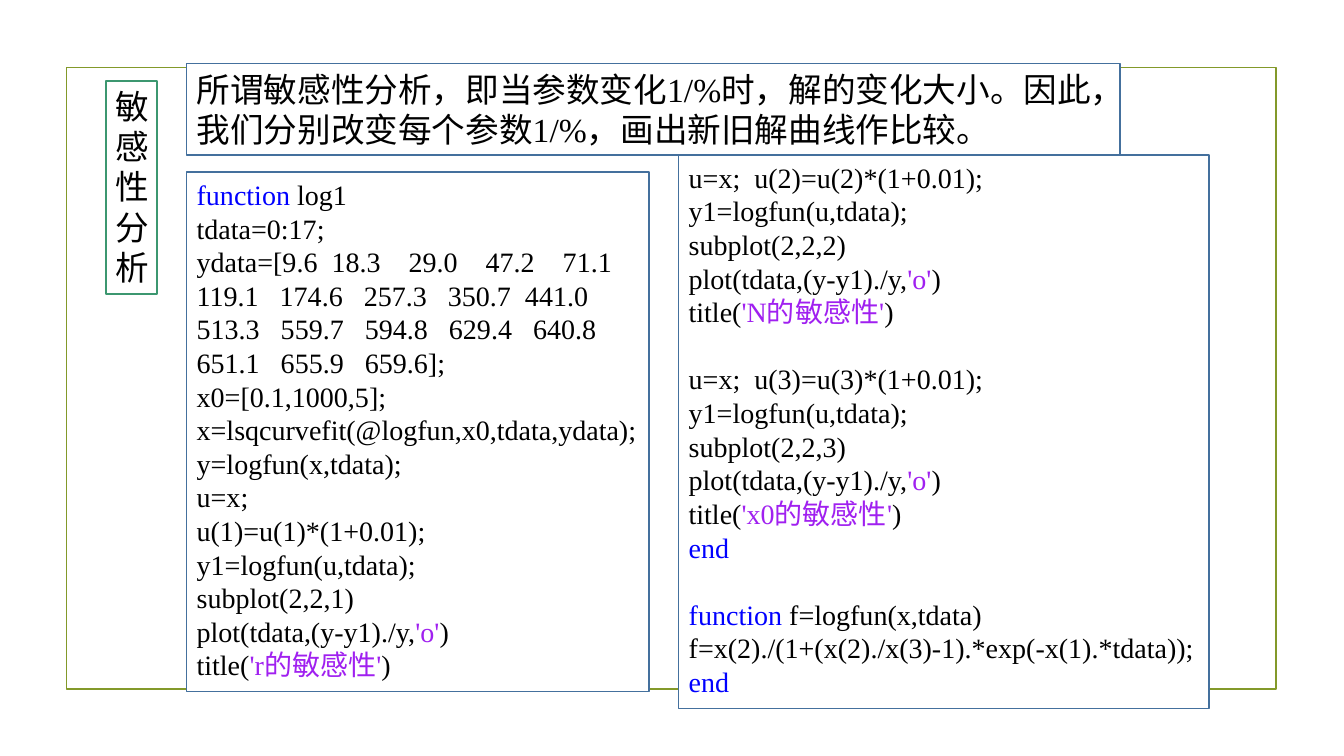
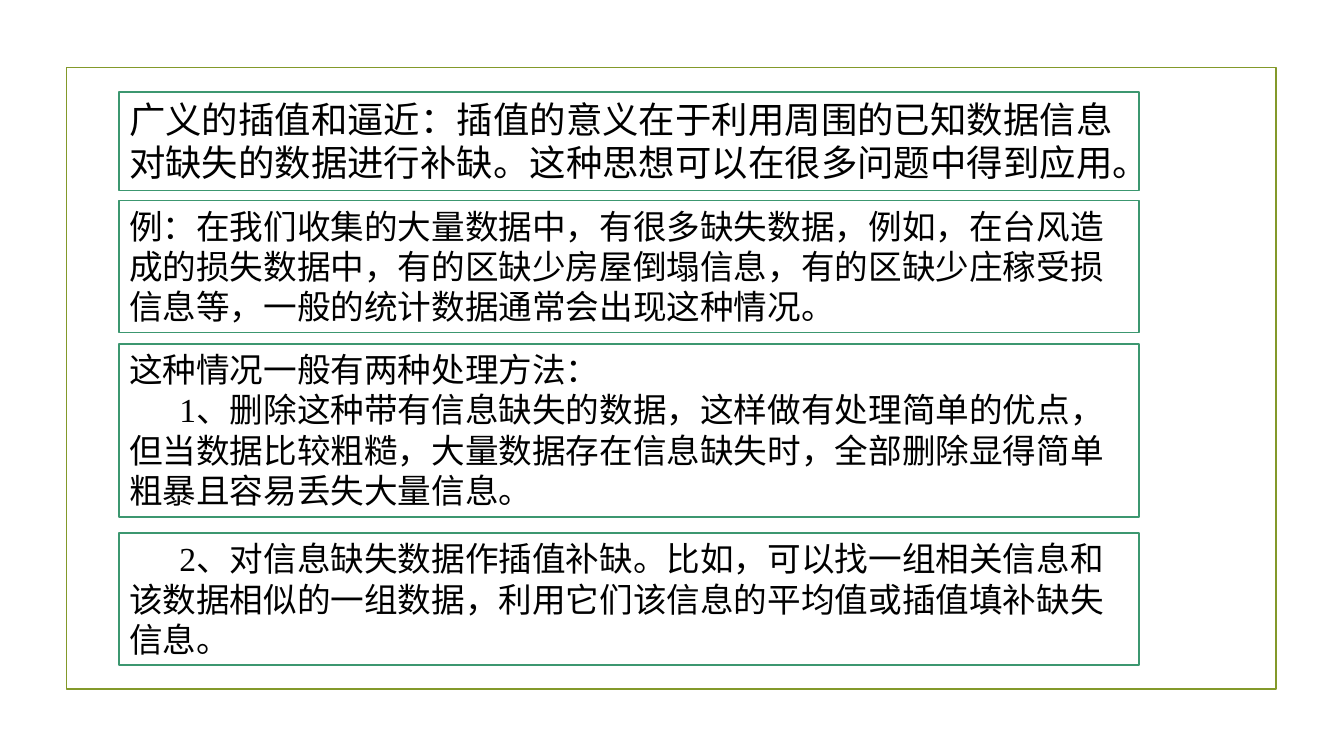
import pptx
import pptx.util
import pptx.dml.color
import pptx.enum.shapes
import pptx.enum.text
from lxml import etree

# Shared look: colours, sizes and text formats
THEME = {
    "ink": "000000", "key": "0000FF", "str": "A020F0", "paper": "FFFFFF",
    "frame": "83992A", "green": "3C9770", "blue": "44709D",
    "font": "Times New Roman", "lead": 26, "text": 24, "code": 20,
    "line": 1.25, "indent": 0.5,
}
FRAME = {
    "auto_size": pptx.enum.text.MSO_AUTO_SIZE.NONE,
    "word_wrap": True,
    "vertical_anchor": pptx.enum.text.MSO_ANCHOR.TOP,
}
PARA = {
    "alignment": pptx.enum.text.PP_ALIGN.LEFT,
    "line_spacing": 1.0,
    "space_after": pptx.util.Pt(0),
}
FONT = {"name": THEME["font"], "bold": False}
KEYS = ("function", "end")
WIDE, HIGH = pptx.util.Inches(13.33), pptx.util.Inches(7.5)

# Slide text
TITLE = "敏感性分析"
INTRO = "所谓敏感性分析，即当参数变化1/%时，解的变化大小。因此，我们分别改变每个参数1/%，画出新旧解曲线作比较。"
LEFT = """function log1
tdata=0:17;
ydata=[9.6  18.3    29.0    47.2    71.1    119.1   174.6   257.3   350.7  441.0    513.3   559.7   594.8   629.4   640.8   651.1   655.9   659.6];
x0=[0.1,1000,5];
x=lsqcurvefit(@logfun,x0,tdata,ydata);
y=logfun(x,tdata);
u=x;
u(1)=u(1)*(1+0.01);
y1=logfun(u,tdata);
subplot(2,2,1)
plot(tdata,(y-y1)./y,'o')
title('r的敏感性')"""
RIGHT = """u=x;  u(2)=u(2)*(1+0.01);
y1=logfun(u,tdata);
subplot(2,2,2)
plot(tdata,(y-y1)./y,'o')
title('N的敏感性')

u=x;  u(3)=u(3)*(1+0.01);
y1=logfun(u,tdata);
subplot(2,2,3)
plot(tdata,(y-y1)./y,'o')
title('x0的敏感性')
end

function f=logfun(x,tdata)
f=x(2)./(1+(x(2)./x(3)-1).*exp(-x(1).*tdata));
end"""
LEAD = "广义的插值和逼近：插值的意义在于利用周围的已知数据信息对缺失的数据进行补缺。这种思想可以在很多问题中得到应用。"
CASE = "例：在我们收集的大量数据中，有很多缺失数据，例如，在台风造成的损失数据中，有的区缺少房屋倒塌信息，有的区缺少庄稼受损信息等，一般的统计数据通常会出现这种情况。"
WAYS = "这种情况一般有两种处理方法："
DROP = "1、删除这种带有信息缺失的数据，这样做有处理简单的优点，但当数据比较粗糙，大量数据存在信息缺失时，全部删除显得简单粗暴且容易丢失大量信息。"
FILL = "2、对信息缺失数据作插值补缺。比如，可以找一组相关信息和该数据相似的一组数据，利用它们该信息的平均值或插值填补缺失信息。"


def tint(name):
    return pptx.dml.color.RGBColor.from_string(THEME[name])


def apply(item, form):
    for name, value in form.items():
        setattr(item, name, value)


def place(shape, spot):
    """Set left, top, width, height from percent of the slide."""
    sides = ("left", "top", "width", "height")
    spans = (WIDE, HIGH, WIDE, HIGH)
    apply(shape, {side: int(span * part / 100)
                  for side, span, part in zip(sides, spans, spot)})


def edge(shape, hue):
    shape.line.color.rgb = tint(hue)
    shape.line.width = pptx.util.Pt(THEME["line"])


def write(para, runs, size, indent=0, gap=0):
    """Fill one paragraph with (text, colour) runs."""
    props = para._p.get_or_add_pPr()
    props.set("marL", "0")
    props.set("indent", str(pptx.util.Inches(indent)))
    etree.SubElement(props, pptx.oxml.ns.qn("a:buNone"))
    apply(para, PARA)
    para.space_before = pptx.util.Pt(gap)
    for text, hue in runs:
        run = para.add_run()
        run.text = text
        apply(run.font, FONT)
        run.font.size = pptx.util.Pt(THEME[size])
        run.font.color.rgb = tint(hue)


def panel(shape, spot, hue):
    """Turn a placeholder into a white outlined box of fixed size."""
    place(shape, spot)
    shape.fill.solid()
    shape.fill.fore_color.rgb = tint("paper")
    edge(shape, hue)
    apply(shape.text_frame, FRAME)


def paras(shape):
    """Yield the first paragraph, then new ones."""
    yield shape.text_frame.paragraphs[0]
    while True:
        yield shape.text_frame.add_paragraph()


def prose(shape, spot, hue, items, size="text"):
    """Box of plain paragraphs, each a (text, indent) pair."""
    panel(shape, spot, hue)
    for (text, indent), para in zip(items, paras(shape)):
        write(para, [(text, "ink")], size, indent)


def paint(line):
    """Split a code line into coloured runs."""
    word = line.split(" ")[0]
    if word in KEYS:
        runs = [(word, "key"), (line[len(word):], "ink")]
    else:
        runs = [(f"'{part}'", "str") if odd % 2 else (part, "ink")
                for odd, part in enumerate(line.split("'"))]
    return [run for run in runs if run[0]]


def code(shape, spot, text):
    """Box of code; an empty line becomes space before the next one."""
    panel(shape, spot, "blue")
    new, gap = paras(shape), 0
    for line in text.splitlines():
        if line:
            write(next(new), paint(line), "code", gap=gap)
        gap = 0 if line else THEME["code"] * 1.2


def border(slide):
    """Draw the frame once and hand it to the shared layout."""
    frame = slide.shapes.add_shape(
        pptx.enum.shapes.MSO_SHAPE.RECTANGLE, 0, 0, 0, 0)
    place(frame, (4.95, 8.93, 90.02, 82.27))
    frame.shadow.inherit = False
    frame.fill.background()
    edge(frame, "frame")
    slide.slide_layout.shapes._spTree.insert(2, frame._element)


def start(deck):
    """Add a slide; return it with its title and three bodies."""
    slide = deck.slides.add_slide(deck.slide_layouts[4])
    *boxes, spare = slide.placeholders
    spare._element.getparent().remove(spare._element)
    return slide, boxes


def main():
    deck = pptx.Presentation()
    deck.slide_width, deck.slide_height = WIDE, HIGH

    # Slide 1: sensitivity code
    slide, (title, intro, left, right) = start(deck)
    border(slide)
    prose(title, (7.88, 10.67, 3.83, 28.27), "green", [(TITLE, 0)])
    prose(intro, (13.88, 8.4, 69.47, 12.13), "blue", [(INTRO, 0)])
    code(left, (13.88, 22.8, 34.43, 68.67), LEFT)
    code(right, (50.49, 20.53, 39.46, 73.2), RIGHT)

    # Slide 2: interpolation, a stack of boxes
    slide, boxes = start(deck)
    step = THEME["indent"]
    stack = [
        (12.13, 13.07, "lead", [(LEAD, 0)]),
        (26.53, 17.47, "text", [(CASE, 0)]),
        (45.47, 22.93, "text", [(WAYS, 0), (DROP, step)]),
        (70.53, 17.47, "text", [(FILL, step)]),
    ]
    for box, (top, tall, size, items) in zip(boxes, stack):
        prose(box, (8.85, top, 75.92, tall), "green", items, size)

    deck.save("out.pptx")


if __name__ == "__main__":
    main()
